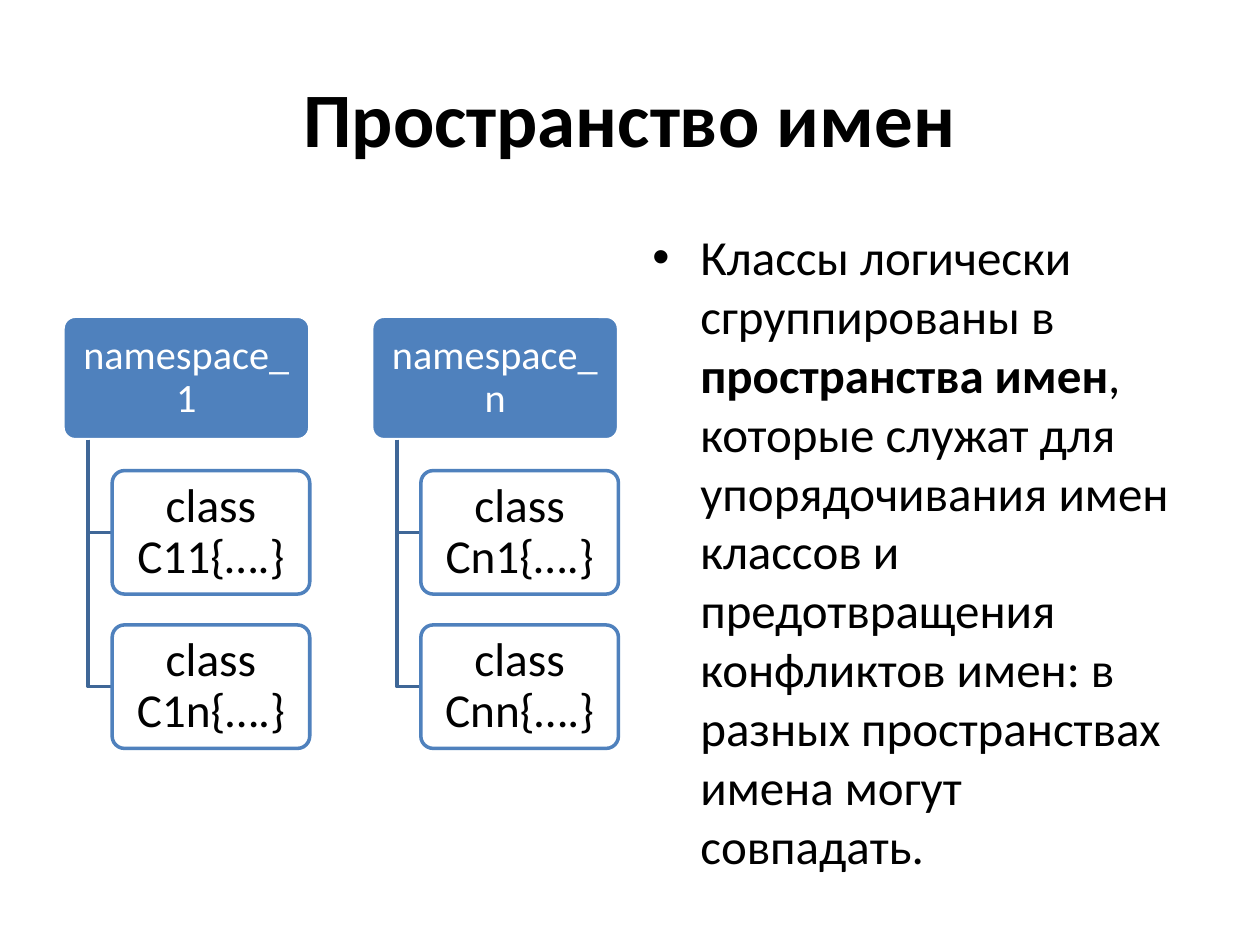
from dataclasses import dataclass

import pptx
import pptx.dml.color
import pptx.enum.shapes
import pptx.enum.text
import pptx.oxml
import pptx.oxml.ns
import pptx.util
from pptx.util import Inches, Pt

RGB = pptx.dml.color.RGBColor
BLUE = RGB(0x4F, 0x81, 0xBD)
STEEL = RGB(0x3F, 0x67, 0x97)
WHITE = RGB(0xFF, 0xFF, 0xFF)
BLACK = RGB(0, 0, 0)
FONT = "Calibri"
MID = pptx.enum.text.MSO_ANCHOR.MIDDLE
CENTER = pptx.enum.text.PP_ALIGN.CENTER

# Grid of the tree, in inches
LEFT, TOP = 0.5, 2.51
COL, ROW = 2.45, 1.225
HEAD, TALL = 1.96, 0.98
STEM, INDENT = 0.2, 0.39


@dataclass(frozen=True)
class Look:
    wide: float
    fill: RGB
    line: RGB
    ink: RGB
    size: int
    side: float
    edge: float
    alpha: int


@dataclass(frozen=True)
class Space:
    name: str
    kids: tuple[str, ...]


ROOT = Look(HEAD, BLUE, WHITE, WHITE, 23, 0.08, 0.06, 100)
LEAF = Look(HEAD * 0.8, WHITE, BLUE, BLACK, 27, 0.09, 0.07, 90)
TREE = (
    Space("namespace_1", ("class C11{….}", "class C1n{….}")),
    Space("namespace_n", ("class Cn1{….}", "class Cnn{….}")),
)


def write(para, text: str, size: int, ink: RGB, bold: bool = False) -> None:
    run = para.add_run()
    run.text = text
    run.font.name = FONT
    run.font.size = Pt(size)
    run.font.bold = bold
    run.font.color.rgb = ink


def place(shape, x: float, y: float, wide: float, tall: float) -> None:
    shape.left, shape.top = Inches(x), Inches(y)
    shape.width, shape.height = Inches(wide), Inches(tall)


def box(shapes, x: float, y: float, text: str, look: Look) -> None:
    kind = pptx.enum.shapes.MSO_SHAPE.ROUNDED_RECTANGLE
    shape = shapes.add_shape(kind, Inches(x), Inches(y), Inches(look.wide), Inches(TALL))
    shape.adjustments[0] = 0.1
    shape.shadow.inherit = False
    shape.fill.solid()
    shape.fill.fore_color.rgb = look.fill
    if look.alpha < 100:
        tint = shape.fill._xPr.find(".//" + pptx.oxml.ns.qn("a:srgbClr"))
        space = pptx.oxml.ns.nsdecls("a")
        tint.append(pptx.oxml.parse_xml(f'<a:alpha {space} val="{look.alpha * 1000}"/>'))
    shape.line.color.rgb = look.line
    shape.line.width = Pt(2)
    frame = shape.text_frame
    frame.word_wrap = True
    frame.vertical_anchor = MID
    frame.margin_left = frame.margin_right = Inches(look.side)
    frame.margin_top = frame.margin_bottom = Inches(look.edge)
    para = frame.paragraphs[0]
    para.alignment = CENTER
    para.line_spacing = 0.9
    write(para, text, look.size, look.ink)


def elbow(shapes, x: float, y: float, end: float) -> None:
    pen = shapes.build_freeform(Inches(x), Inches(y))
    turn = [(Inches(x), Inches(end)), (Inches(x + INDENT - STEM), Inches(end))]
    pen.add_line_segments(turn, close=False)
    shape = pen.convert_to_shape()
    shape.shadow.inherit = False
    shape.fill.background()
    shape.line.color.rgb = STEEL
    shape.line.width = Pt(2)


def branch(shapes, col: int, item: Space) -> None:
    x = LEFT + col * COL
    box(shapes, x, TOP, item.name, ROOT)
    for row, kid in enumerate(item.kids, 1):
        y = TOP + row * ROW
        elbow(shapes, x + STEM, TOP + TALL, y + TALL / 2)
        box(shapes, x + INDENT, y, kid, LEAF)


def main() -> None:
    deck = pptx.Presentation()
    deck.slide_width, deck.slide_height = Inches(10), Inches(7.5)
    slide = deck.slides.add_slide(deck.slide_layouts[5])

    # Title
    title = slide.shapes.title
    place(title, 0.5, 0.3, 9, 1.25)
    title.text_frame.vertical_anchor = MID
    para = title.text_frame.paragraphs[0]
    para.alignment = CENTER
    write(para, "Пространство имен", 44, BLACK, True)

    # Bulleted text
    body = slide.shapes.add_textbox(0, 0, 0, 0)
    place(body, 5.08, 1.75, 4.42, 4.95)
    body.text_frame.word_wrap = True
    para = body.text_frame.paragraphs[0]
    para.space_before = Pt(5.6)
    props = para._p.get_or_add_pPr()
    props.set("marL", str(Inches(0.38)))
    props.set("indent", str(Inches(-0.38)))
    space = pptx.oxml.ns.nsdecls("a")
    props.append(pptx.oxml.parse_xml(f'<a:buFont {space} typeface="Arial"/>'))
    props.append(pptx.oxml.parse_xml(f'<a:buChar {space} char="•"/>'))
    write(para, "Классы логически сгруппированы в ", 28, BLACK)
    write(para, "пространства имен", 28, BLACK, True)
    write(para, ", которые служат для упорядочивания имен классов и предотвращения "
          "конфликтов имен: в разных пространствах имена могут совпадать.", 28, BLACK)

    # Namespace trees
    group = slide.shapes.add_group_shape()
    for col, item in enumerate(TREE):
        branch(group.shapes, col, item)

    deck.save("out.pptx")


if __name__ == "__main__":
    main()
